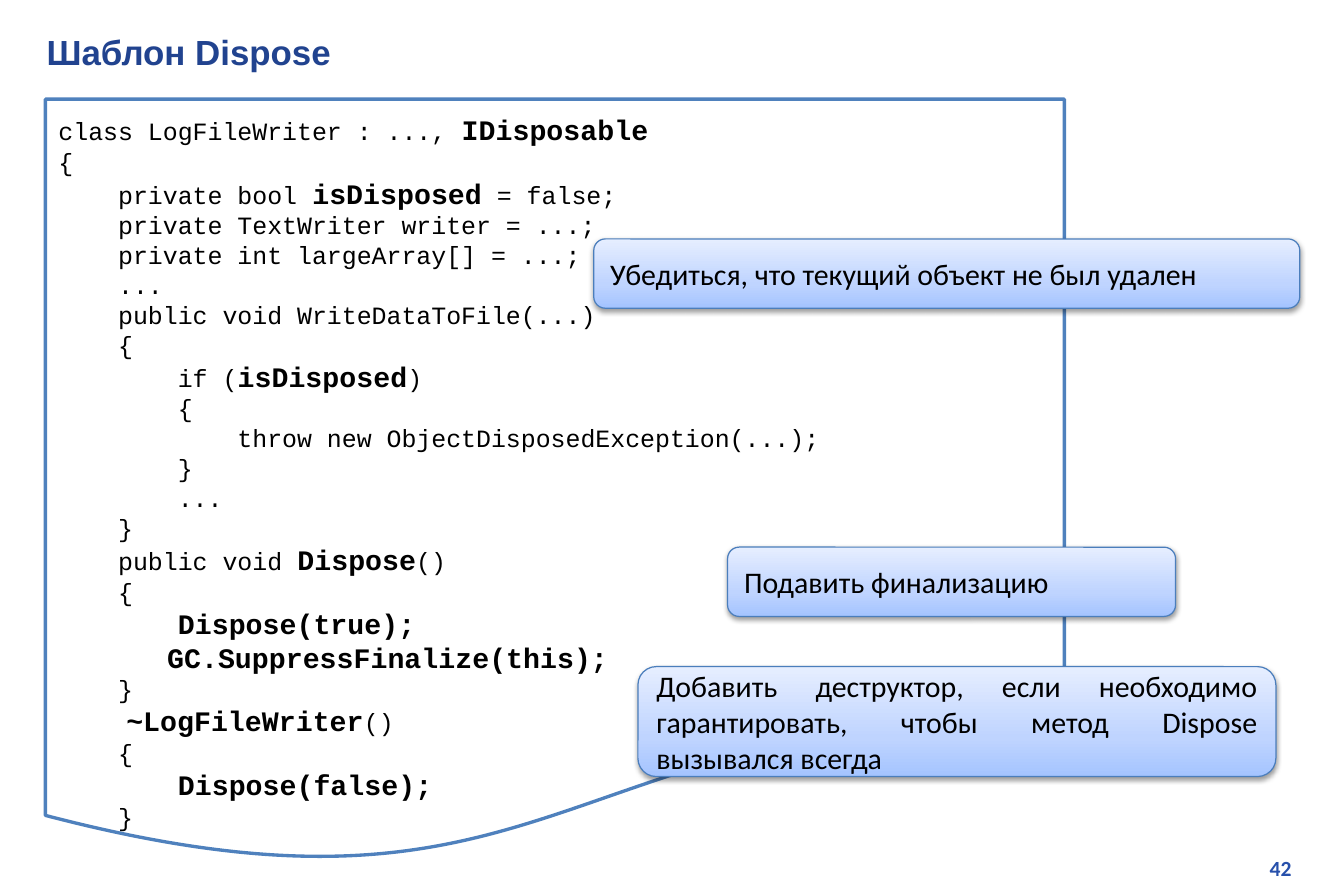
from pptx import Presentation
from pptx.dml.color import RGBColor
from pptx.enum.shapes import MSO_SHAPE
from pptx.enum.text import MSO_ANCHOR, PP_ALIGN
from pptx.oxml import parse_xml
from pptx.oxml.ns import nsdecls, qn
from pptx.util import Inches, Pt

DOCUMENT, ROUNDED = MSO_SHAPE.FLOWCHART_DOCUMENT, MSO_SHAPE.ROUNDED_RECTANGLE
TOP, MIDDLE = MSO_ANCHOR.TOP, MSO_ANCHOR.MIDDLE
LEFT, RIGHT, JUSTIFY = PP_ALIGN.LEFT, PP_ALIGN.RIGHT, PP_ALIGN.JUSTIFY

GRADIENT = f"""<a:gradFill {nsdecls('a')} rotWithShape="1"><a:gsLst>
<a:gs pos="0"><a:srgbClr val="A4C4FF"/></a:gs>
<a:gs pos="35000"><a:srgbClr val="BFD4FF"/></a:gs>
<a:gs pos="100000"><a:srgbClr val="E6EEFF"/></a:gs>
</a:gsLst><a:lin ang="16200000" scaled="1"/></a:gradFill>"""
SHADOW = f"""<a:outerShdw {nsdecls('a')} blurRad="40000" dist="20000" dir="5400000"
rotWithShape="0"><a:srgbClr val="000000"><a:alpha val="38000"/></a:srgbClr></a:outerShdw>"""

# Text between double asterisks is emphasised.
CODE = """class LogFileWriter : ..., **IDisposable**
{
    private bool **isDisposed** = false;
    private TextWriter writer = ...;
    private int largeArray[] = ...;
    ...
    public void WriteDataToFile(...)
    {
        if (**isDisposed**)
        {
            throw new ObjectDisposedException(...);
        }
        ...
    }
    public void **Dispose**()
    {
        **Dispose(true);**
**GC.SuppressFinalize(this);**
    }
**    ~LogFileWriter**()
    {
        **Dispose(false);**
    }"""

CALLOUTS = [
    (4.97, 2, 5.91, 0.58, "Убедиться, что текущий объект не был удален"),
    (6.09, 4.58, 3.75, 0.58, "Подавить финализацию"),
    (5.34, 5.58, 5.34, 0.92,
     "Добавить деструктор, если необходимо гарантировать, чтобы метод Dispose вызывался всегда"),
]


def color(hex_code):
    return RGBColor.from_string(hex_code)


def write_text(box, text, *, size, font, fill="000000", bold=False,
               bold_size=None, align=LEFT, anchor=TOP, after=0):
    """Write one paragraph per line, with ** switching emphasis on and off."""
    frame = box.text_frame
    frame.word_wrap = True
    frame.vertical_anchor = anchor
    frame.margin_left = frame.margin_right = Inches(0.11)
    frame.margin_top = frame.margin_bottom = Inches(0.06)
    for number, line in enumerate(text.split("\n")):
        para = frame.add_paragraph() if number else frame.paragraphs[0]
        para.alignment = align
        para.space_after = Pt(after)
        for part, words in enumerate(line.split("**")):
            if words:
                strong = part % 2 == 1
                span = para.add_run()
                span.text = words
                span.font.name = font
                span.font.size = Pt(bold_size if strong else size)
                span.font.bold = bold or strong
                span.font.color.rgb = color(fill)


deck = Presentation()
deck.slide_width, deck.slide_height = Inches(11.25), Inches(7.5)
page = deck.slides.add_slide(deck.slide_layouts[6])

number_box = page.shapes.add_textbox(Inches(8.54), Inches(7.1), Inches(2.38), Inches(0.34))
write_text(number_box, "42", size=13, font="Calibri", fill="2750AB", bold=True, align=RIGHT)

title = page.shapes.add_textbox(Inches(0.28), Inches(0.2), Inches(10.74), Inches(0.4))
write_text(title, "Шаблон Dispose", size=21, font="Arial", fill="21438F", bold=True)

code_box = page.shapes.add_shape(DOCUMENT, Inches(0.38), Inches(0.83), Inches(8.53), Inches(6.42))
code_box.shadow.inherit = False
code_box.fill.solid()
code_box.fill.fore_color.rgb = color("FFFFFF")
code_box.line.color.rgb = color("4F81BD")
code_box.line.width = Pt(2)
write_text(code_box, CODE, size=15, font="Courier New", bold_size=17)
code_box.text_frame.margin_top = Inches(0.11)
for para in code_box.text_frame.paragraphs:
    if para.text.startswith("GC."):
        para._p.get_or_add_pPr().set("marL", str(Inches(0.91)))

for left, top, width, height, text in CALLOUTS:
    callout = page.shapes.add_shape(ROUNDED, Inches(left), Inches(top), Inches(width), Inches(height))
    callout.line.color.rgb = color("4B7EBC")
    callout.line.width = Pt(0.75)
    callout.fill.gradient()
    callout.shadow.inherit = False
    properties = callout._element.spPr
    properties.replace(properties.find(qn("a:gradFill")), parse_xml(GRADIENT))
    properties.find(qn("a:effectLst")).append(parse_xml(SHADOW))
    write_text(callout, text, size=18, font="Calibri", align=JUSTIFY, anchor=MIDDLE, after=11.1)

deck.save("out.pptx")
